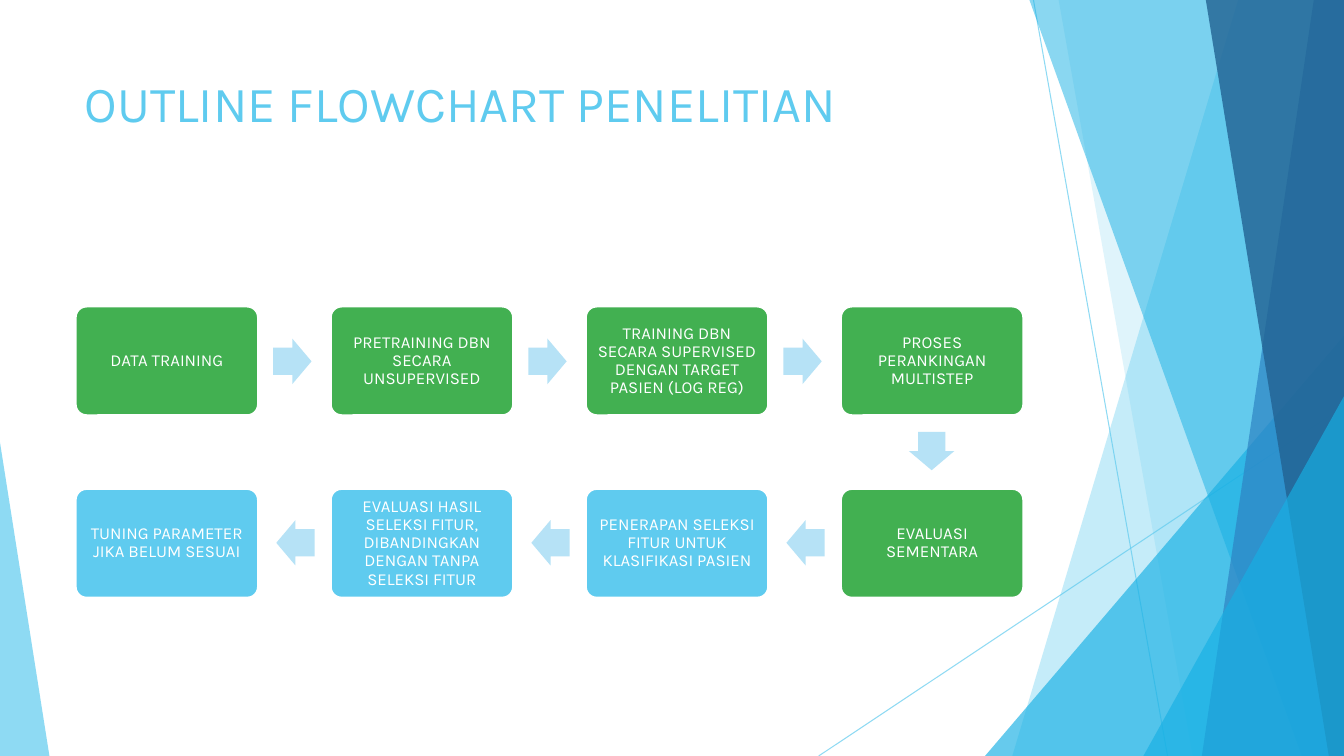
from dataclasses import dataclass
from lxml.etree import SubElement as Sub
from pptx import Presentation
from pptx.dml.color import RGBColor as Rgb
from pptx.enum.shapes import MSO_CONNECTOR as Link, MSO_SHAPE as Kind
from pptx.enum.text import MSO_ANCHOR as Anchor, MSO_AUTO_SIZE as Fit, PP_ALIGN as Align
from pptx.oxml.ns import qn
from pptx.util import Pt

PX = 9144  # 100 px to the inch


@dataclass(frozen=True)
class Theme:
    font: str = "Karla"
    head: int = 36
    body: int = 12
    sky: str = "5FCBEF"
    cyan: str = "17B0E4"
    blue: str = "2E83C3"
    navy: str = "226292"
    pale: str = "B6E2F6"
    green: str = "42B051"
    white: str = "FFFFFF"


T = Theme()
WIDE, HIGH = 1333, 750

# Backdrop: corner points, colour, opacity in percent
BANDS = {
    "back": [
        ([(1228, 0), (WIDE, 0), (WIDE, HIGH), (1004, HIGH)], T.sky, 36),
        ([(1050, 0), (WIDE, 0), (WIDE, HIGH), (1183, HIGH)], T.sky, 20),
    ],
    "front": [
        ([(1021, 0), (WIDE, 0), (WIDE, HIGH), (1291, HIGH)], T.cyan, 50),
        ([(1303, 0), (WIDE, 0), (WIDE, HIGH), (1192, HIGH)], T.blue, 70),
        ([(1196, 0), (WIDE, 0), (WIDE, HIGH), (1318, HIGH)], T.navy, 80),
    ],
}

# Flow: text and colour of each step, in reading order of the loop
STEPS = [
    ("DATA TRAINING", T.green),
    ("PRETRAINING DBN SECARA UNSUPERVISED", T.green),
    ("TRAINING DBN SECARA SUPERVISED DENGAN TARGET PASIEN (LOG REG)", T.green),
    ("PROSES PERANKINGAN MULTISTEP", T.green),
    ("EVALUASI SEMENTARA", T.green),
    ("PENERAPAN SELEKSI FITUR UNTUK KLASIFIKASI PASIEN", T.sky),
    ("EVALUASI HASIL SELEKSI FITUR, DIBANDINGKAN DENGAN TANPA SELEKSI FITUR", T.sky),
    ("TUNING PARAMETER JIKA BELUM SESUAI", T.sky),
]
COLS, LEFT, TOP = 4, 75, 304
STEP_X, STEP_Y = 253, 181
BOX_W, BOX_H = 181, 108
TIP_W, TIP_H = 38, 45


def style(item, opts):
    for name, value in opts.items():
        setattr(item, name, value)


def fade(shape, pct):
    """Set the opacity of every colour in the shape."""
    for tint in shape.element.spPr.iter(qn("a:srgbClr")):
        Sub(tint, qn("a:alpha"), val=str(pct * 1000))


def paint(shape, color, pct=100):
    """Plain fill with no outline and no shadow."""
    shape.shadow.inherit = False
    shape.fill.solid()
    shape.fill.fore_color.rgb = Rgb.from_string(color)
    shape.line.fill.background()
    if pct < 100:
        fade(shape, pct)


def add(slide, kind, area, color, adj, pct=100):
    shape = slide.shapes.add_shape(kind, *(n * PX for n in area))
    for i, value in enumerate(adj):
        shape.adjustments[i] = value
    paint(shape, color, pct)
    return shape


def band(slide, points, color, pct):
    pen = slide.shapes.build_freeform(*points[0], scale=PX)
    pen.add_line_segments(points[1:], close=True)
    paint(pen.convert_to_shape(), color, pct)


def wedge(slide, area, color, pct, peak):
    add(slide, Kind.ISOSCELES_TRIANGLE, area, color, [peak], pct)


def ray(slide, *ends):
    line = slide.shapes.add_connector(Link.STRAIGHT, *(n * PX for n in ends))
    line.line.width = Pt(0.75)
    line.line.color.rgb = Rgb.from_string(T.sky)
    fade(line, 70)
    Sub(line.element.spPr, qn("a:effectLst"))


def write(frame, text, size, color, frame_opts, para_opts):
    style(frame, {"word_wrap": True, "auto_size": Fit.NONE, **frame_opts})
    para = frame.paragraphs[0]
    style(para, para_opts)
    run = para.add_run()
    run.text = text
    style(run.font, {"name": T.font, "size": Pt(size)})
    run.font.color.rgb = Rgb.from_string(color)


def title(slide, text):
    head = slide.shapes.title
    style(head, {"left": 74 * PX, "top": 67 * PX, "width": 940 * PX, "height": 144 * PX})
    write(head.text_frame, text, T.head, T.sky,
          {"vertical_anchor": Anchor.TOP}, {"alignment": Align.LEFT})


def box(slide, x, y, text, color):
    shape = add(slide, Kind.ROUNDED_RECTANGLE, (x, y, BOX_W, BOX_H), color, [0.1])
    shape.line.color.rgb = Rgb.from_string(T.white)
    shape.line.width = Pt(1.5)
    sides = ("left", "right", "top", "bottom")
    pads = {f"margin_{side}": 5 * PX for side in sides}
    write(shape.text_frame, text, T.body, T.white,
          {"vertical_anchor": Anchor.MIDDLE, **pads},
          {"alignment": Align.CENTER, "line_spacing": 0.9})


def tip(slide, x, y, turn):
    shape = add(slide, Kind.RIGHT_ARROW, (x, y, TIP_W, TIP_H), T.pale, [0.6, 0.5])
    shape.rotation = turn


def decor(slide):
    ray(slide, 1025, 0, 1158, HIGH)
    ray(slide, WIDE, 403, 812, HIGH)
    for item in BANDS["back"]:
        band(slide, *item)
    wedge(slide, (977, 333, 356, 417), T.cyan, 66, 1)
    for item in BANDS["front"]:
        band(slide, *item)
    wedge(slide, (1134, 393, 199, 357), T.cyan, 66, 1)
    wedge(slide, (0, 439, 49, 311), T.sky, 70, 0)


def flow(slide):
    """Top row runs right, bottom row runs back to the left."""
    last = len(STEPS) - 1
    for i, (text, color) in enumerate(STEPS):
        row = i // COLS
        col = last - i if row else i
        x, y = LEFT + col * STEP_X, TOP + row * STEP_Y
        box(slide, x, y, text, color)
        if i == last:
            continue
        if row:
            tip(slide, x - STEP_X + 199, y + 31, 180)
        elif col < COLS - 1:
            tip(slide, x + 196, y + 32, 0)
        else:
            tip(slide, x + 71, y + 121, 90)


def main():
    deck = Presentation()
    style(deck, {"slide_width": WIDE * PX, "slide_height": HIGH * PX})
    slide = deck.slides.add_slide(deck.slide_layouts[5])
    decor(slide)
    title(slide, "OUTLINE FLOWCHART PENELITIAN")
    flow(slide)
    deck.save("out.pptx")


if __name__ == "__main__":
    main()
